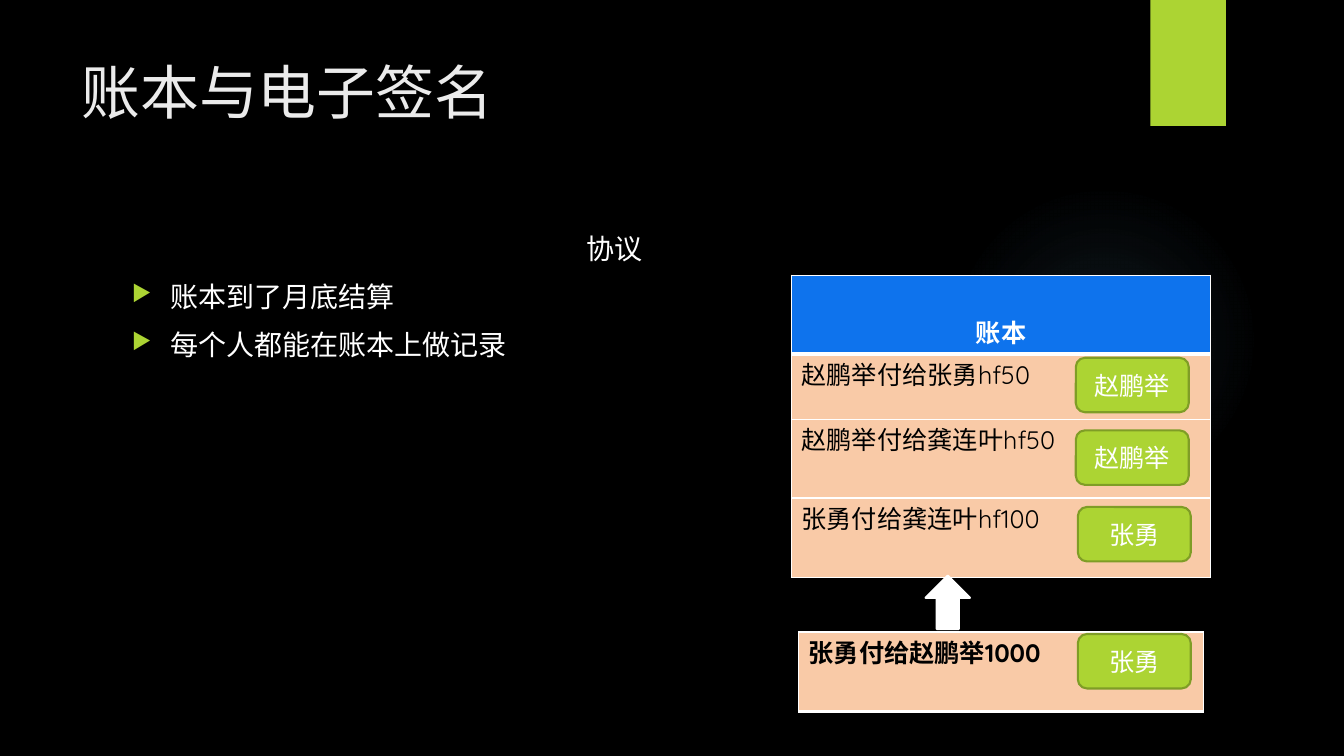
from lxml import etree
from pptx import Presentation
from pptx.dml.color import RGBColor
from pptx.enum.shapes import MSO_SHAPE as Shape
from pptx.enum.text import MSO_ANCHOR as Anchor, PP_ALIGN as Align
from pptx.oxml import parse_xml
from pptx.oxml.ns import qn
from pptx.util import Inches, Pt

COLORS = {
    "back": "000000", "title": "EBEBEB", "white": "FFFFFF", "ink": "000000",
    "lime": "ACD433", "edge": "7F9D26", "blue": "0E73ED", "peach": "F9CAA7", "glow": "7AC4F0",
}
FONT, CJK_FONT = "Quicksand", "Noto Sans CJK SC"
TITLE = "账本与电子签名"
HEADING = "协议"
BULLETS = ["账本到了月底结算", "每个人都能在账本上做记录"]
LEDGER_TITLE = "账本"
LEDGER = ["赵鹏举付给张勇hf50", "赵鹏举付给龚连叶hf50", "张勇付给龚连叶hf100"]
NEW_ENTRY = "张勇付给赵鹏举1000"
ROW_HEIGHTS = [0.78, 0.65, 0.78, 0.79]
LEDGER_BOX = (7.85, 2.73, 4.16, sum(ROW_HEIGHTS))
ENTRY_BOX = (7.92, 6.27, 4.02, 0.79)
SIGNATURES = [("赵鹏举", 10.67, 3.55), ("赵鹏举", 10.67, 4.27), ("张勇", 10.69, 5.03), ("张勇", 10.69, 6.29)]
SIGNATURE_SIZE = (1.12, 0.54)
GLOW_STOPS = [(0, 7), (36, 6), (69, 0)]
NS = 'xmlns:a="http://schemas.openxmlformats.org/drawingml/2006/main"'


def rgb(name):
    return RGBColor.from_string(COLORS[name])


def write(para, text, size, color, font=FONT, bold=False, **layout):
    for name, value in layout.items():
        setattr(para, name, value)
    span = para.add_run()
    span.text = text
    for name, value in {"size": Pt(size), "bold": bold, "name": font}.items():
        setattr(span.font, name, value)
    span.font.color.rgb = rgb(color)
    etree.SubElement(span.font._element, qn("a:ea"), typeface=font)


def add_box(page, area):
    frame = page.shapes.add_textbox(*map(Inches, area)).text_frame
    frame.word_wrap = True
    return frame


def add_bullet(para):
    props = para._p.get_or_add_pPr()
    props.set("marL", str(Inches(0.38)))
    props.set("indent", str(-Inches(0.38)))
    for xml in (
        f'<a:buClr {NS}><a:srgbClr val="{COLORS["lime"]}"/></a:buClr>',
        f'<a:buSzPct {NS} val="80000"/>',
        f'<a:buChar {NS} char="▶"/>',
    ):
        props.append(parse_xml(xml))


def add_block(page, kind, area, fill, line=None):
    block = page.shapes.add_shape(kind, *map(Inches, area))
    block.shadow.inherit = False
    block.fill.solid()
    block.fill.fore_color.rgb = rgb(fill)
    if line:
        block.line.color.rgb = rgb(line)
        block.line.width = Pt(1.5)
    else:
        block.line.fill.background()
    return block


def add_glow(page):
    glow = add_block(page, Shape.OVAL, (9.41, 1.83, 3.08, 3.08), "glow")
    stops = "".join(
        f'<a:gs pos="{place * 1000}"><a:srgbClr val="{COLORS["glow"]}">'
        f'<a:alpha val="{alpha * 1000}"/></a:srgbClr></a:gs>'
        for place, alpha in GLOW_STOPS
    )
    gradient = parse_xml(
        f'<a:gradFill {NS}><a:gsLst>{stops}</a:gsLst><a:path path="circle">'
        '<a:fillToRect l="50000" t="50000" r="50000" b="50000"/></a:path></a:gradFill>'
    )
    props = glow._element.spPr
    props.replace(props.find(qn("a:solidFill")), gradient)


def style_cell(cell, fill, bottom, top=1):
    props = cell._tc.get_or_add_tcPr()
    for side, width in {"L": 1, "R": 1, "T": top, "B": bottom}.items():
        props.append(parse_xml(
            f'<a:ln{side} {NS} w="{Pt(width)}"><a:solidFill>'
            f'<a:srgbClr val="{COLORS["white"]}"/></a:solidFill></a:ln{side}>'
        ))
    cell.fill.solid()
    cell.fill.fore_color.rgb = rgb(fill)


def add_grid(page, area, heights):
    table = page.shapes.add_table(len(heights), 1, *map(Inches, area)).table
    table.first_row = table.horz_banding = False
    for row, height in zip(table.rows, heights):
        row.height = Inches(height)
    return table


def add_ledger(page):
    table = add_grid(page, LEDGER_BOX, ROW_HEIGHTS)
    header = table.cell(0, 0)
    header.vertical_anchor = Anchor.BOTTOM
    write(header.text_frame.paragraphs[0], LEDGER_TITLE, 18, "white", bold=True, alignment=Align.CENTER)
    style_cell(header, "blue", 3)
    for index, text in enumerate(LEDGER, 1):
        cell = table.cell(index, 0)
        write(cell.text_frame.paragraphs[0], text, 18, "ink")
        style_cell(cell, "peach", 1, top=3 if index == 1 else 1)


def add_new_entry(page):
    cell = add_grid(page, ENTRY_BOX, ENTRY_BOX[3:]).cell(0, 0)
    write(cell.text_frame.paragraphs[0], NEW_ENTRY, 18, "ink", bold=True)
    style_cell(cell, "peach", 3)


def add_signature(page, name, left, top):
    stamp = add_block(page, Shape.ROUNDED_RECTANGLE, (left, top, *SIGNATURE_SIZE), "lime", "edge")
    stamp.text_frame.vertical_anchor = Anchor.MIDDLE
    write(stamp.text_frame.paragraphs[0], name, 18, "white", CJK_FONT, alignment=Align.CENTER)


def main():
    deck = Presentation()
    deck.slide_width, deck.slide_height = Inches(13.33), Inches(7.5)
    page = deck.slides.add_slide(deck.slide_layouts[6])
    page.background.fill.solid()
    page.background.fill.fore_color.rgb = rgb("back")

    add_glow(page)
    add_block(page, Shape.RECTANGLE, (11.41, 0, 0.75, 1.25), "lime")
    write(add_box(page, (0.71, 0.5, 10.29, 1.53)).paragraphs[0], TITLE, 42, "title")

    body = add_box(page, (1.21, 2.25, 9.78, 4.59))
    write(body.paragraphs[0], HEADING, 20, "white", alignment=Align.CENTER, space_before=Pt(10))
    for text in BULLETS:
        para = body.add_paragraph()
        write(para, text, 20, "white", space_before=Pt(10))
        add_bullet(para)

    add_ledger(page)
    add_new_entry(page)
    arrow = add_block(page, Shape.DOWN_ARROW, (9.18, 5.71, 0.44, 0.53), "white", "white")
    arrow.rotation = 180
    for signature in SIGNATURES:
        add_signature(page, *signature)
    deck.save("out.pptx")


if __name__ == "__main__":
    main()
